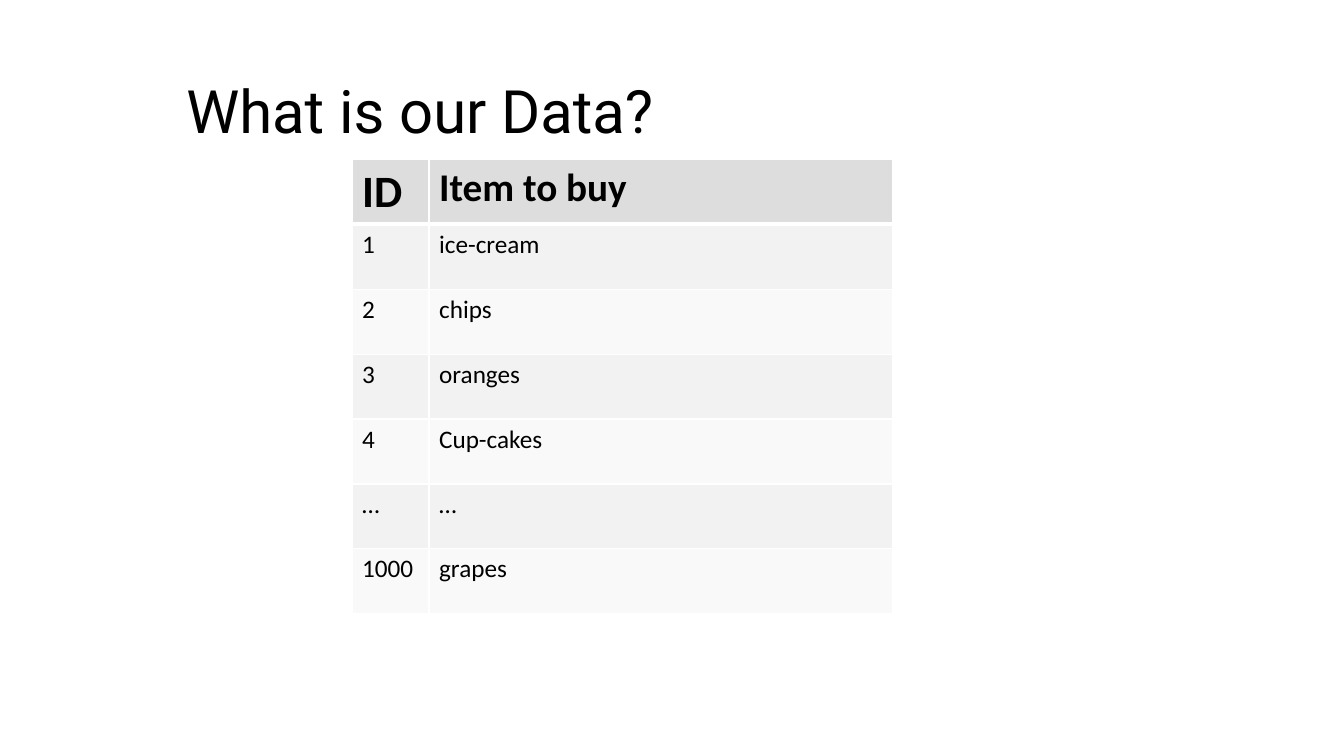
from lxml import etree
from pptx import Presentation
from pptx.dml.color import RGBColor
from pptx.enum import text
from pptx.oxml import ns
from pptx.util import Pt

ITEMS = [
    ("ID", "Item to buy"),
    ("1", "ice-cream"),
    ("2", "chips"),
    ("3", "oranges"),
    ("4", "Cup-cakes"),
    ("…", "…"),
    ("1000", "grapes"),
]


def color(code):
    return RGBColor.from_string(code)


def write(frame, words, size, face="Calibri", bold=False, ink="000000", lead=None):
    para = frame.paragraphs[0]
    if lead:
        para.line_spacing = lead
    run = para.add_run()
    run.text = words
    font = run.font
    font.name, font.size, font.bold = face, Pt(size), bold
    font.color.rgb = color(ink)


def edge(cell, side, width, ink="FFFFFF"):
    line = etree.SubElement(cell._tc.get_or_add_tcPr(), ns.qn("a:ln" + side), w=str(Pt(width)))
    fill = etree.SubElement(line, ns.qn("a:solidFill"))
    etree.SubElement(fill, ns.qn("a:srgbClr"), val=ink)


def title(slide, left, top, width, height):
    frame = slide.shapes.add_textbox(Pt(left), Pt(top), Pt(width), Pt(height)).text_frame
    frame.word_wrap = True
    frame.vertical_anchor = text.MSO_ANCHOR.BOTTOM
    write(frame, "What is our Data?", 42.7, face="Roboto", lead=0.9)


def table(slide, left, top, width, height):
    count = len(ITEMS)
    grid = slide.shapes.add_table(count, 2, Pt(left), Pt(top), Pt(width), Pt(height)).table
    slim = 55
    grid.columns[0].width = Pt(slim)
    grid.columns[1].width = Pt(width - slim)
    for r, item in enumerate(ITEMS):
        grid.rows[r].height = Pt(height / count)
        head = r == 0
        tint = "DDDDDD" if head else ("F9F9F9", "F2F2F2")[r % 2]
        for c, words in enumerate(item):
            cell = grid.cell(r, c)
            for side in "LRTB":
                thick = (r, side) in ((0, "B"), (1, "T"))
                edge(cell, side, 3 if thick else 1)
            cell.fill.solid()
            cell.fill.fore_color.rgb = color(tint)
            size = (32, 28)[c] if head else 18
            write(cell.text_frame, words, size, bold=head)


def main():
    deck = Presentation()
    deck.slide_width, deck.slide_height = Pt(960), Pt(540)
    slide = deck.slides.add_slide(deck.slide_layouts[6])
    title(slide, 126, 28.8, 647.3, 79.2)
    table(slide, 251.5, 113.8, 386, 324.8)
    deck.save("out.pptx")


if __name__ == "__main__":
    main()
